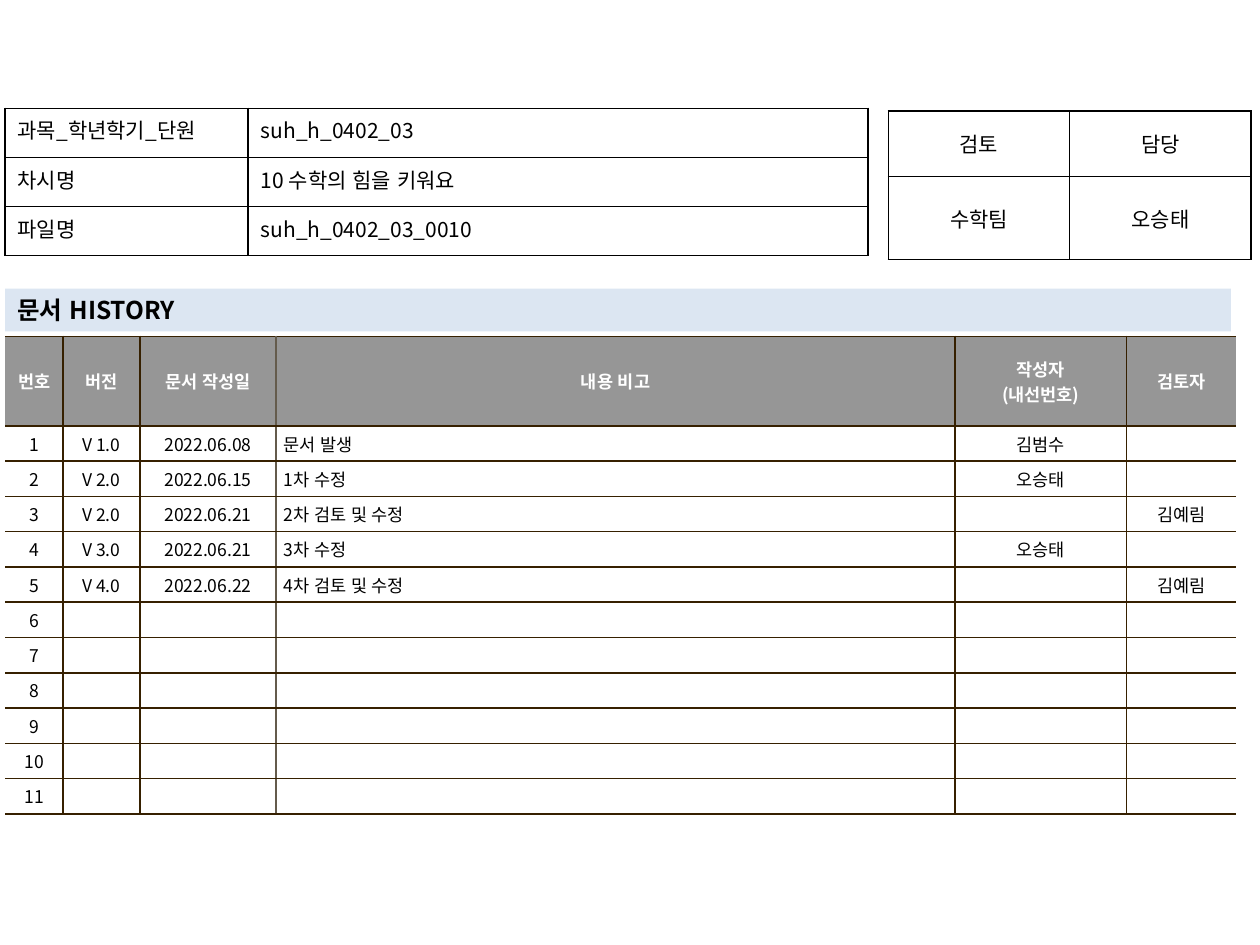
from lxml import etree
from pptx import Presentation
from pptx.dml.color import RGBColor
from pptx.enum import lang, shapes, text
from pptx.oxml import ns
from pptx.util import Inches, Pt

FONT = "Noto Sans CJK KR"
BLACK = RGBColor(0x00, 0x00, 0x00)
WHITE = RGBColor(0xFF, 0xFF, 0xFF)
GRAY = RGBColor(0x96, 0x96, 0x96)
PALE_BLUE = RGBColor(0xDC, 0xE6, 0xF2)
BROWN = RGBColor(0x36, 0x20, 0x00)
TAUPE = RGBColor(0x64, 0x5B, 0x4C)

LEFT, CENTER, JUSTIFY = text.PP_ALIGN.LEFT, text.PP_ALIGN.CENTER, text.PP_ALIGN.JUSTIFY
TOP, MIDDLE = text.MSO_ANCHOR.TOP, text.MSO_ANCHOR.MIDDLE

DOCUMENT_ROWS = [
    ["과목_학년학기_단원", "suh_h_0402_03"],
    ["차시명", "10 수학의 힘을 키워요"],
    ["파일명", "suh_h_0402_03_0010"],
]
REVIEW_ROWS = [["검토", "담당"], ["수학팀", "오승태"]]
HISTORY_HEADER = ["번호", "버전", "문서 작성일", "내용 비고", "작성자\n(내선번호)", "검토자"]
REVISIONS = [
    ["V 1.0", "2022.06.08", "문서 발생", "김범수", ""],
    ["V 2.0", "2022.06.15", "1차 수정", "오승태", ""],
    ["V 2.0", "2022.06.21", "2차 검토 및 수정", "", "김예림"],
    ["V 3.0", "2022.06.21", "3차 수정", "오승태", ""],
    ["V 4.0", "2022.06.22", "4차 검토 및 수정", "", "김예림"],
]
HISTORY_LENGTH = 11
NOTE_COLUMN = 3


def add_text(frame, content, size, color=BLACK, bold=False, align=LEFT):
    """Write each line of content as a paragraph; empty lines keep the size."""
    for index, line in enumerate(content.split("\n")):
        paragraph = frame.paragraphs[0] if index == 0 else frame.add_paragraph()
        paragraph.alignment = align
        if not line:
            end = etree.SubElement(paragraph._p, ns.qn("a:endParaRPr"))
            end.set("sz", str(size * 100))
            continue
        run = paragraph.add_run()
        run.text = line
        font = run.font
        font.name, font.size, font.bold = FONT, Pt(size), bold
        font.color.rgb = color
        font.language_id = lang.MSO_LANGUAGE_ID.KOREAN
        east_asian = etree.SubElement(font._element, ns.qn("a:ea"))
        east_asian.set("typeface", FONT)


def set_borders(cell, **colors):
    """Draw the sides L, R, T and B; a side given as None has no line."""
    properties = cell._tc.get_or_add_tcPr()
    for index, side in enumerate("LRTB"):
        line = etree.Element(ns.qn(f"a:ln{side}"), w=str(Pt(1)))
        if colors[side] is None:
            etree.SubElement(line, ns.qn("a:noFill"))
        else:
            fill = etree.SubElement(line, ns.qn("a:solidFill"))
            etree.SubElement(fill, ns.qn("a:srgbClr"), val=str(colors[side]))
        properties.insert(index, line)


def add_grid(slide, left, top, widths, heights):
    """Add an empty table without banding."""
    table = slide.shapes.add_table(
        len(heights), len(widths), Inches(left), Inches(top),
        Inches(sum(widths)), Inches(sum(heights))).table
    table.first_row = table.horz_banding = False
    for column, width in zip(table.columns, widths):
        column.width = Inches(width)
    for row, height in zip(table.rows, heights):
        row.height = Inches(height)
    return table


def add_info_table(slide, left, top, widths, heights, rows, aligns, anchor):
    table = add_grid(slide, left, top, widths, heights)
    for row, values in zip(table.rows, rows):
        for cell, value, align in zip(row.cells, values, aligns):
            cell.fill.background()
            cell.vertical_anchor = anchor
            set_borders(cell, L=BLACK, R=BLACK, T=BLACK, B=BLACK)
            add_text(cell.text_frame, value, 12, align=align)


def add_history_table(slide):
    widths = [0.46, 0.61, 1.08, 5.39, 1.36, 0.87]
    table = add_grid(slide, 0.04, 2.67, widths, [0.71] + [0.25] * HISTORY_LENGTH)
    verticals = [None, BROWN, BROWN, TAUPE, BROWN, BROWN, None]
    blank = [""] * len(REVISIONS[0])
    revisions = REVISIONS + [blank] * (HISTORY_LENGTH - len(REVISIONS))
    rows = [HISTORY_HEADER]
    rows += [[str(number)] + values for number, values in enumerate(revisions, 1)]
    for r, values in enumerate(rows):
        header = r == 0
        for c, value in enumerate(values):
            cell = table.cell(r, c)
            cell.fill.solid()
            cell.fill.fore_color.rgb = GRAY if header else WHITE
            cell.vertical_anchor = MIDDLE
            cell.margin_left = cell.margin_right = Inches(0.06)
            cell.margin_top = cell.margin_bottom = Inches(0.04)
            set_borders(cell, L=verticals[c], R=verticals[c + 1], T=BROWN, B=BROWN)
            note = c == NOTE_COLUMN and not header
            add_text(cell.text_frame, value, 10, WHITE if header else BLACK,
                     header, LEFT if note else CENTER)


def add_heading_bar(slide):
    shape = slide.shapes.add_shape(
        shapes.MSO_SHAPE.RECTANGLE, Inches(0.04), Inches(2.29), Inches(9.73), Inches(0.34))
    shape.shadow.inherit = False
    shape.fill.solid()
    shape.fill.fore_color.rgb = PALE_BLUE
    shape.line.fill.background()
    shape.text_frame.vertical_anchor = MIDDLE
    add_text(shape.text_frame, "문서 HISTORY", 14, bold=True)


def main():
    presentation = Presentation()
    presentation.slide_width, presentation.slide_height = Inches(10), Inches(7.5)
    slide = presentation.slides.add_slide(presentation.slide_layouts[6])
    add_history_table(slide)
    add_info_table(slide, 7.05, 0.88, [1.44] * 2, [0.52, 0.66], REVIEW_ROWS,
                   [CENTER, CENTER], MIDDLE)
    add_heading_bar(slide)
    add_info_table(slide, 0.04, 0.86, [1.93, 4.92], [0.39] * 3, DOCUMENT_ROWS,
                   [JUSTIFY, LEFT], TOP)
    presentation.save("out.pptx")


if __name__ == "__main__":
    main()
